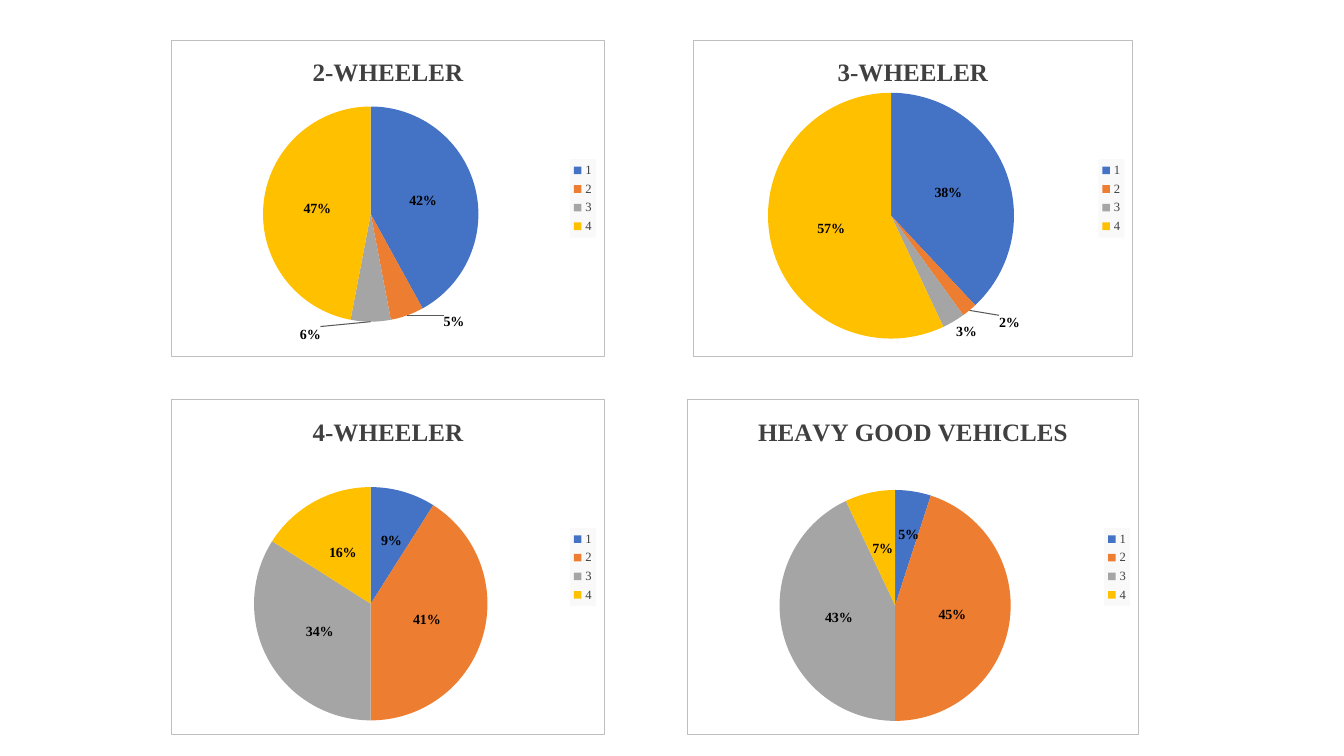
from dataclasses import dataclass

from pptx import Presentation
from pptx.chart.data import CategoryChartData
from pptx.dml.color import RGBColor
from pptx.enum.chart import XL_CHART_TYPE, XL_LABEL_POSITION, XL_LEGEND_POSITION
from pptx.oxml import parse_xml
from pptx.oxml.ns import nsdecls
from pptx.util import Pt

PIE = XL_CHART_TYPE.PIE
CENTER = XL_LABEL_POSITION.CENTER
RIGHT = XL_LEGEND_POSITION.RIGHT


@dataclass(frozen=True)
class Theme:
    font: str = "Times New Roman"
    title_size: float = 18
    label_size: float = 10
    legend_size: float = 9
    heading: str = "404040"
    label: str = "000000"
    border: str = "BFBFBF"
    leader: str = "595959"
    panel: str = "FFFFFF"
    legend_panel: str = "F9F9F9"
    slices: tuple = ("4472C4", "ED7D31", "A5A5A5", "FFC000")


THEME = Theme()
CATEGORIES = ("1", "2", "3", "4")

# Box is left, top, width, height in points; plot is left, top, width, height
# as shares of the box; moved labels are shifts as shares of the box.
CHARTS = (
    dict(title="2-WHEELER", values=(42, 5, 6, 47),
         box=(122.4, 28.3, 309.6, 226.8), plot=(0.21, 0.21, 0.5, 0.68),
         moved={1: (0.15, 0.18), 2: (-0.14, 0.21)}),
    dict(title="3-WHEELER", values=(38, 2, 3, 57),
         box=(494.9, 28.3, 314.6, 226.8), plot=(0.17, 0.15, 0.56, 0.81),
         moved={1: (0.18, 0.19), 2: (0.1, 0.2)}),
    dict(title="4-WHEELER", values=(9, 41, 34, 16),
         box=(122.4, 285.1, 309.6, 239.8), plot=(0.19, 0.26, 0.54, 0.7),
         moved={0: (0.01, -0.02)}),
    dict(title="HEAVY GOOD VEHICLES", values=(5, 45, 43, 7),
         box=(491, 285.1, 322.6, 239.8), plot=(0.2, 0.27, 0.52, 0.69),
         moved={0: (0.01, -0.04)}),
)


def style_font(font, size, color, bold=False):
    font.name = THEME.font
    font.size = Pt(size)
    font.bold = bold
    font.color.rgb = RGBColor.from_string(color)


def write_text(text_frame, text, **font_format):
    run = text_frame.paragraphs[0].add_run()
    run.text = text
    style_font(run.font, **font_format)


def panel_xml(fill, line=None):
    outline = "<a:ln><a:noFill/></a:ln>"
    if line:
        outline = (f'<a:ln w="{Pt(0.75)}"><a:solidFill><a:srgbClr val="{line}"/>'
                   "</a:solidFill></a:ln>")
    return parse_xml(f'<c:spPr {nsdecls("c", "a")}><a:solidFill>'
                     f'<a:srgbClr val="{fill}"/></a:solidFill>{outline}</c:spPr>')


def layout_xml(left, top, width=None, height=None):
    parts = f'<c:x val="{left}"/><c:y val="{top}"/>'
    if width:
        parts = ('<c:layoutTarget val="inner"/><c:xMode val="edge"/>'
                 f'<c:yMode val="edge"/>{parts}'
                 f'<c:w val="{width}"/><c:h val="{height}"/>')
    return parse_xml(f'<c:layout {nsdecls("c")}><c:manualLayout>{parts}'
                     "</c:manualLayout></c:layout>")


def add_legend(chart):
    chart.has_legend = True
    legend = chart.legend
    legend.position = RIGHT
    legend.include_in_layout = False
    style_font(legend.font, THEME.legend_size, THEME.heading)
    overlay = chart.element.xpath(".//c:legend/c:overlay")[0]
    overlay.addnext(panel_xml(THEME.legend_panel))


def add_percent_labels(chart, moved):
    series = chart.plots[0].series[0]
    labels = series.data_labels
    labels.show_value = False
    labels.show_percentage = True
    labels.number_format = "0%"
    labels.number_format_is_linked = False
    labels.position = CENTER
    style_font(labels.font, THEME.label_size, THEME.label, bold=True)

    # Labels shifted away from the middle of their slices
    for index in moved:
        label = series.points[index].data_label
        style_font(label.font, THEME.label_size, THEME.label, bold=True)
        label.position = CENTER
    for label in chart.element.xpath(".//c:ser/c:dLbls/c:dLbl"):
        label.idx.addnext(layout_xml(*moved[label.idx.val]))
        label.xpath("c:showVal")[0].set("val", "0")
        label.xpath("c:showPercent")[0].set("val", "1")

    # Leader lines
    group = chart.element.xpath(".//c:ser/c:dLbls")[0]
    for switch in group.xpath("c:showLeaderLines"):
        group.remove(switch)
    group.append(parse_xml(f'<c:showLeaderLines {nsdecls("c")} val="1"/>'))
    group.append(parse_xml(
        f'<c:leaderLines {nsdecls("c", "a")}><c:spPr><a:ln w="{Pt(0.75)}"><a:solidFill>'
        f'<a:srgbClr val="{THEME.leader}"/></a:solidFill></a:ln></c:spPr></c:leaderLines>'))


def add_pie(slide, title, values, box, plot, moved):
    data = CategoryChartData()
    data.categories = CATEGORIES
    data.add_series(title, values)
    chart = slide.shapes.add_chart(PIE, *map(Pt, box), data).chart
    style_font(chart.font, THEME.label_size, THEME.label)

    # Frame and title
    chart.element.xpath("c:chart")[0].addnext(panel_xml(THEME.panel, THEME.border))
    chart.has_title = True
    chart.chart_title.include_in_layout = False
    write_text(chart.chart_title.text_frame, title, size=THEME.title_size,
               color=THEME.heading, bold=True)

    # Slices
    chart.plots[0].vary_by_categories = True
    for index, color in enumerate(THEME.slices):
        fill = chart.plots[0].series[0].points[index].format.fill
        fill.solid()
        fill.fore_color.rgb = RGBColor.from_string(color)
    area = chart.element.xpath(".//c:plotArea")[0]
    for layout in area.xpath("c:layout"):
        area.remove(layout)
    area.insert(0, layout_xml(*plot))

    add_percent_labels(chart, moved)
    add_legend(chart)


def main():
    presentation = Presentation()
    presentation.slide_width = Pt(960)
    presentation.slide_height = Pt(540)
    slide = presentation.slides.add_slide(presentation.slide_layouts[6])
    for chart in CHARTS:
        add_pie(slide, **chart)
    presentation.save("out.pptx")


if __name__ == "__main__":
    main()
